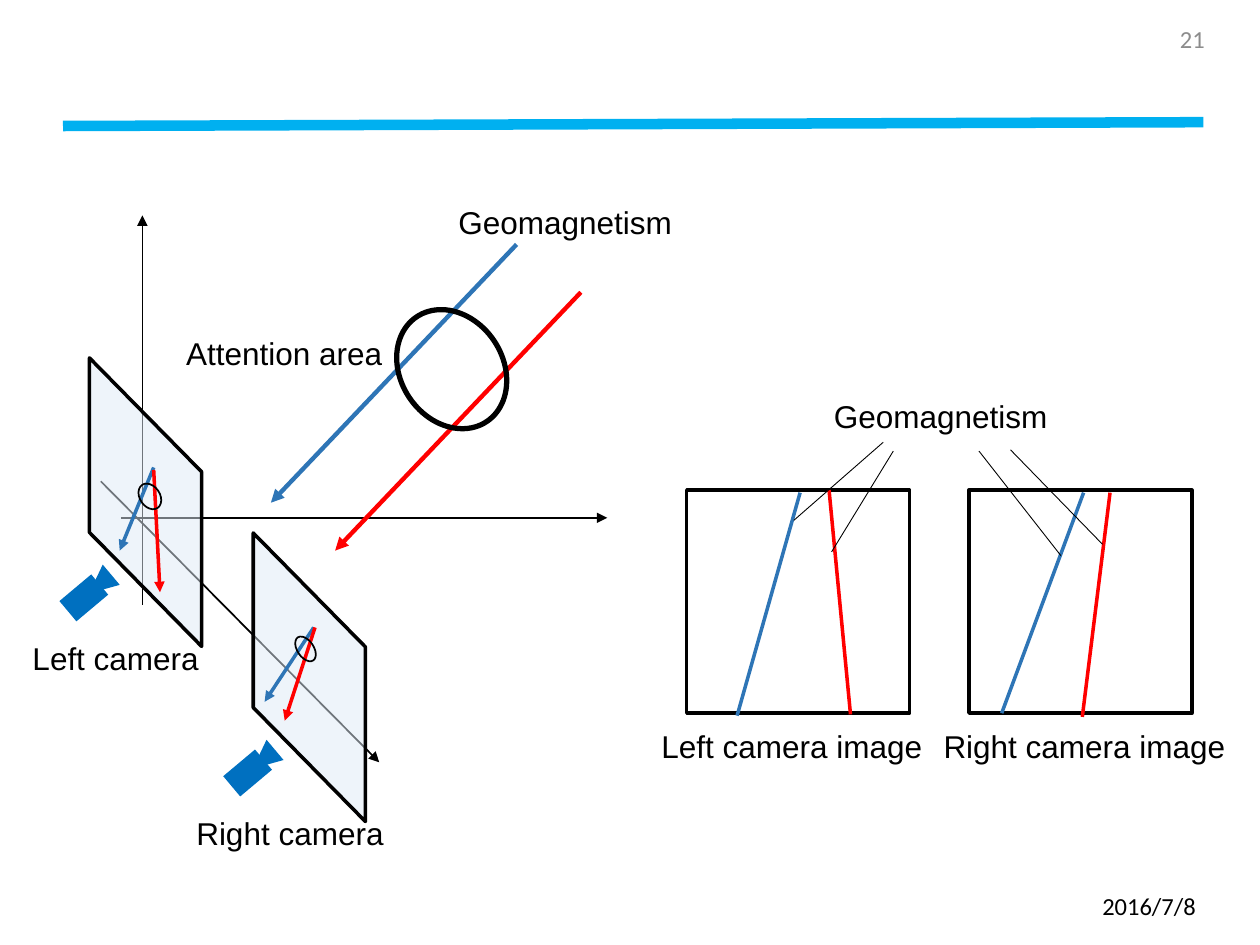
from pptx import Presentation
from pptx import util as u
from pptx.dml.color import RGBColor
from pptx.enum import shapes, text
from pptx.oxml.ns import qn
from lxml import etree

BLACK = RGBColor(0x00, 0x00, 0x00)
WHITE = RGBColor(0xFF, 0xFF, 0xFF)
GRAY = RGBColor(0x8C, 0x8C, 0x8C)
RED = RGBColor(0xFF, 0x00, 0x00)
BLUE = RGBColor(0x2E, 0x75, 0xB6)
CAMERA_BLUE = RGBColor(0x00, 0x70, 0xC0)
PALE_BLUE = RGBColor(0xDE, 0xEB, 0xF7)
RULE_BLUE = RGBColor(0x00, 0xB0, 0xF0)

prs = Presentation()
prs.slide_width, prs.slide_height = u.Inches(10), u.Inches(7.5)
COL, ROW = prs.slide_width / 10, prs.slide_height / 7.5
slide = prs.slides.add_slide(prs.slide_layouts[6])

FORM = shapes.MSO_SHAPE
LABEL_HEIGHT = 0.4
PLANE_WIDTH, PLANE_HEIGHT = 0.89, 2.29
IMAGE_SIDE = 1.77


def grid(x, y):
    return round(x * COL), round(y * ROW)


def add_line(box, start, end, color, weight, arrow=False):
    """Draw a line whose ends are offsets from the corner of the box."""
    left, top = box
    line = slide.shapes.add_connector(
        shapes.MSO_CONNECTOR.STRAIGHT,
        *grid(left + start[0], top + start[1]),
        *grid(left + end[0], top + end[1]))
    line.line.color.rgb = color
    line.line.width = u.Pt(weight)
    properties = line._element.spPr
    if arrow:
        etree.SubElement(line.line._get_or_add_ln(), qn("a:tailEnd"), type="triangle")
    etree.SubElement(properties, qn("a:effectLst"))


def add_form(form, box, offset, size, fill=None, outline=None, weight=1, turn=0):
    left, top = box
    shape = slide.shapes.add_shape(
        form, *grid(left + offset[0], top + offset[1]), *grid(*size))
    shape.shadow.inherit = False
    shape.rotation = turn
    if fill is None:
        shape.fill.background()
    else:
        shape.fill.solid()
        shape.fill.fore_color.rgb = fill
    if outline is None:
        shape.line.fill.background()
    else:
        shape.line.color.rgb = outline
        shape.line.width = u.Pt(weight)
    return shape


def add_label(box, offset, width, words, size=18, font="Arial", color=BLACK,
              align=text.PP_ALIGN.LEFT, grow=True):
    left, top = box
    label = slide.shapes.add_textbox(
        *grid(left + offset[0], top + offset[1]), *grid(width, LABEL_HEIGHT))
    frame = label.text_frame
    frame.word_wrap = not grow
    if grow:
        frame.auto_size = text.MSO_AUTO_SIZE.SHAPE_TO_FIT_TEXT
    else:
        frame.vertical_anchor = text.MSO_ANCHOR.MIDDLE
    paragraph = frame.paragraphs[0]
    paragraph.alignment = align
    run = paragraph.add_run()
    run.text = words
    run.font.size = u.Pt(size)
    run.font.name = font
    run.font.color.rgb = color


def add_furniture(box):
    """Header rule, page number and date."""
    add_line(box, (0.5, 1), (9.55, 0.97), RULE_BLUE, 6)
    add_label(box, (8.65, 6.99), 1.22, "2016/7/8", 14, "Calibri", grow=False)
    add_label(box, (9.06, 0.11), 0.6, "21", 14, "Calibri", GRAY,
              text.PP_ALIGN.RIGHT, grow=False)


def add_camera_image(box, blue, red, caption, caption_width):
    add_form(FORM.RECTANGLE, box, (0, 0), (IMAGE_SIDE, IMAGE_SIDE), WHITE, BLACK, 2)
    add_line(box, *blue, BLUE, 2)
    add_line(box, *red, RED, 2)
    add_label(box, (-0.3, 1.83), caption_width, caption)


def add_image_pair(box):
    left, top = box
    add_camera_image(box, ((0.9, 0.02), (0.4, 1.79)), ((1.13, 0), (1.3, 1.78)),
                     "Left camera image", 2.29)
    add_camera_image((left + 2.24, top),
                     ((0.91, 0.02), (0.26, 1.77)), ((1.12, 0.02), (0.9, 1.8)),
                     "Right camera image", 2.46)
    add_label(box, (1.07, -0.79), 1.98, "Geomagnetism")
    pointers = [((0.85, 0.24), (1.56, -0.38)), ((2.97, 0.52), (2.32, -0.31)),
                ((1.15, 0.49), (1.64, -0.31)), ((3.3, 0.43), (2.57, -0.32))]
    for start, end in pointers:
        add_line(box, start, end, BLACK, 0.5)


def add_axes(box):
    for start, end in [((0.16, 2.4), (4.02, 2.4)), ((0, 2.11), (2.21, 4.34)),
                       ((0.33, 3.09), (0.33, 0))]:
        add_line(box, start, end, BLACK, 1, arrow=True)


def add_camera(box, blue, red, area, area_size, caption, caption_width):
    """Tilted image plane with its camera; the box starts at the plane's corner."""
    # The plane is turned a quarter, so its frame is placed around its centre.
    shift = (PLANE_HEIGHT - PLANE_WIDTH) / 2
    plane = add_form(FORM.PARALLELOGRAM, box, (-shift, shift),
                     (PLANE_HEIGHT, PLANE_WIDTH), PALE_BLUE, BLACK, 2, 90)
    plane.adjustments[0] = 1.016
    fill_color = plane._element.spPr.find(qn("a:solidFill"))[0]
    etree.SubElement(fill_color, qn("a:alpha"), val="50000")
    add_form(FORM.RECTANGLE, box, (-0.15, 1.74), (0.21, 0.33), CAMERA_BLUE, turn=50)
    add_form(FORM.ISOSCELES_TRIANGLE, box, (-0.02, 1.68), (0.21, 0.23),
             CAMERA_BLUE, turn=230)
    add_line(box, *blue, BLUE, 2, arrow=True)
    add_line(box, *red, RED, 2, arrow=True)
    add_form(FORM.OVAL, box, area, area_size, outline=BLACK, turn=326.1)
    add_label(box, (-0.55, 2.18), caption_width, caption)


def add_field(box):
    """Geomagnetic field lines and the attention area across them."""
    add_line(box, (1.95, 0), (0, 2.05), BLUE, 2.5, arrow=True)
    add_line(box, (2.46, 0.38), (0.51, 2.43), RED, 2.5, arrow=True)
    add_form(FORM.OVAL, box, (1.03, 0.49), (0.81, 1), outline=BLACK, weight=3, turn=326.1)
    add_label(box, (1.39, -0.38), 1.91, "Geomagnetism")
    add_label(box, (-0.77, 0.66), 1.77, "Attention area")


def add_scene(box):
    left, top = box
    add_axes(box)
    add_camera((left + 1.21, top + 2.52),
               ((0.48, 0.75), (0.09, 1.34)), ((0.49, 0.75), (0.25, 1.49)),
               (0.35, 0.81), (0.13, 0.22), "Right camera", 1.7)
    add_camera((left - 0.09, top + 1.13),
               ((0.51, 0.87), (0.24, 1.53)), ((0.51, 0.89), (0.56, 1.86)),
               (0.4, 0.99), (0.16, 0.22), "Left camera", 1.53)
    add_field((left + 1.35, top + 0.23))


add_furniture((0, 0))
add_image_pair((5.45, 3.89))
add_scene((0.8, 1.71))
prs.save("out.pptx")
